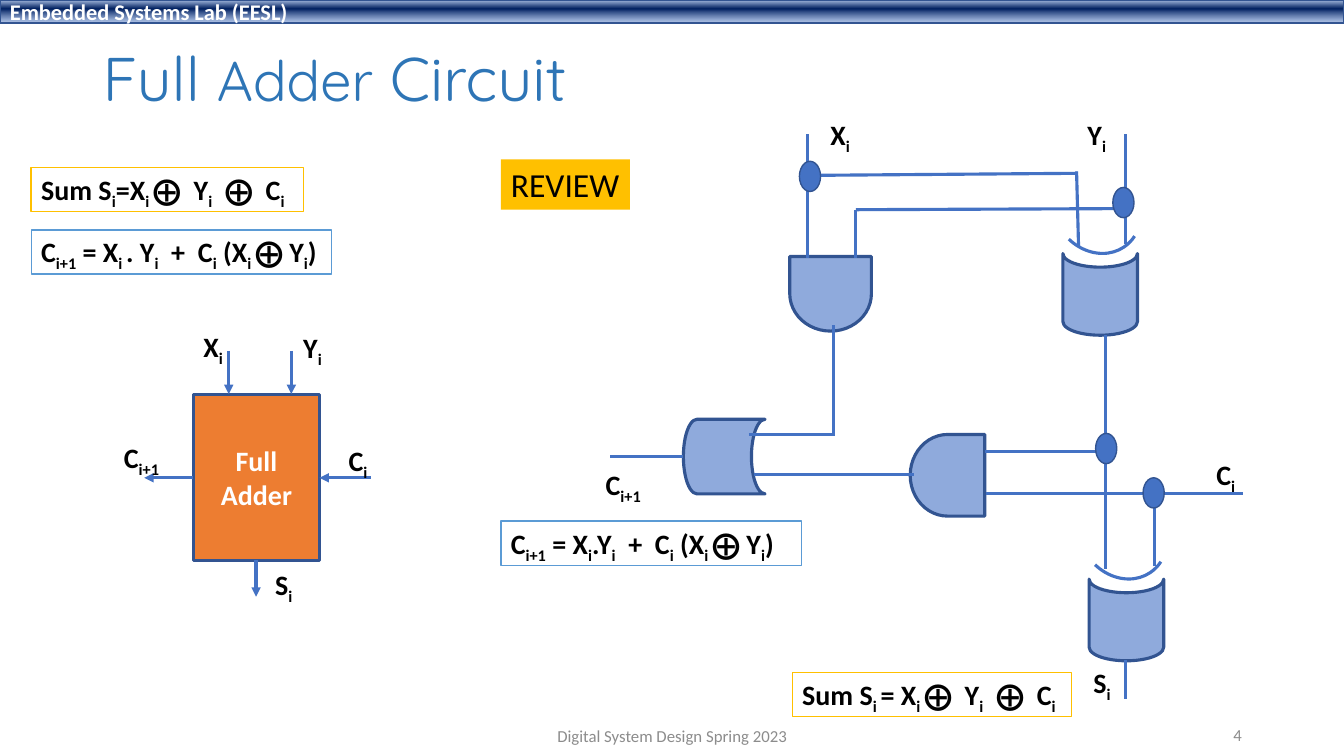
from lxml.etree import SubElement
from pptx import Presentation
from pptx.dml.color import RGBColor
from pptx.enum.shapes import MSO_CONNECTOR as Connector, MSO_SHAPE as Preset
from pptx.enum.text import MSO_ANCHOR as Anchor, MSO_AUTO_SIZE as AutoSize, PP_ALIGN as Align
from pptx.oxml.ns import qn
from pptx.util import Pt

BLACK = RGBColor(0x00, 0x00, 0x00)
WHITE = RGBColor(0xFF, 0xFF, 0xFF)
GREY = RGBColor(0x8C, 0x8C, 0x8C)
TITLE_BLUE = RGBColor(0x2E, 0x75, 0xB6)
WIRE_BLUE = RGBColor(0x44, 0x72, 0xC4)
OUTLINE_BLUE = RGBColor(0x32, 0x54, 0x91)
GATE_BLUE = RGBColor(0x8F, 0xAA, 0xDC)
BOX_BLUE = RGBColor(0x5B, 0x9B, 0xD5)
GOLD = RGBColor(0xFF, 0xC0, 0x00)
ORANGE = RGBColor(0xED, 0x7D, 0x31)
BAR_STOPS = [(2, "ABC0E4", 100), (38, "002060", 100), (93, "7E9ED6", 64)]

GATE_LENGTH, GATE_WIDTH = 58.32, 53.28
LABEL_HEIGHT = 31.7


class CircuitSlide:
    font_name = "Calibri"
    wire_width = 2.25

    def __init__(self, presentation):
        self.slide = presentation.slides.add_slide(presentation.slide_layouts[6])

    def shape(self, preset, left, top, width, height, fill=None, line=None, line_width=1, rotation=0):
        shape = self.slide.shapes.add_shape(preset, Pt(left), Pt(top), Pt(width), Pt(height))
        shape.shadow.inherit = False
        shape.rotation = rotation
        if fill is None:
            shape.fill.background()
        else:
            shape.fill.solid()
            shape.fill.fore_color.rgb = fill
        if line is None:
            shape.line.fill.background()
        else:
            shape.line.color.rgb = line
            shape.line.width = Pt(line_width)
        return shape

    def textbox(self, left, top, width, height):
        return self.slide.shapes.add_textbox(Pt(left), Pt(top), Pt(width), Pt(height))

    def run(self, paragraph, text, size, color, bold=False, font_name=None):
        run = paragraph.add_run()
        run.text = text
        run.font.name = font_name or self.font_name
        run.font.size = Pt(size)
        run.font.bold = bold
        run.font.color.rgb = color
        return run

    def caption(self, shape, text, size=20, color=BLACK, bold=True, align=Align.LEFT, anchor=Anchor.MIDDLE):
        frame = shape.text_frame
        frame.word_wrap = True
        frame.vertical_anchor = anchor
        for index, line in enumerate(text.split("\n")):
            paragraph = frame.add_paragraph() if index else frame.paragraphs[0]
            paragraph.alignment = align
            self.run(paragraph, line, size, color, bold)

    def formula(self, shape, text):
        frame = shape.text_frame
        frame.word_wrap = False
        frame.auto_size = AutoSize.SHAPE_TO_FIT_TEXT
        frame.vertical_anchor = Anchor.TOP
        paragraph = frame.paragraphs[0]
        paragraph.alignment = Align.LEFT
        for index, part in enumerate(text.split("|")):
            if part:
                run = self.run(paragraph, part, 20, BLACK, True)
                if index % 2:
                    run._r.get_or_add_rPr().set("baseline", "-25000")

    def label(self, text, left, top):
        width = 41.8 if "+" in text else 28.8
        self.formula(self.textbox(left, top, width, LABEL_HEIGHT), text)

    def equation(self, text, left, top, width, line):
        self.formula(self.shape(Preset.RECTANGLE, left, top, width, LABEL_HEIGHT, WHITE, line), text)

    def wire(self, x1, y1, x2, y2, arrow=False):
        wire = self.slide.shapes.add_connector(Connector.STRAIGHT, Pt(x1), Pt(y1), Pt(x2), Pt(y2))
        wire.line.color.rgb = WIRE_BLUE
        wire.line.width = Pt(self.wire_width)
        properties = wire._element.spPr
        if arrow:
            SubElement(properties.find(qn("a:ln")), qn("a:tailEnd"), type="triangle")
        SubElement(properties, qn("a:effectLst"))

    def and_gate(self, left, top, rotation):
        self.shape(Preset.FLOWCHART_DELAY, left, top, GATE_WIDTH, GATE_LENGTH,
                   GATE_BLUE, OUTLINE_BLUE, self.wire_width, rotation)

    def or_gate(self, left, top, rotation=0):
        self.shape(Preset.FLOWCHART_STORED_DATA, left, top, GATE_LENGTH, GATE_WIDTH,
                   GATE_BLUE, OUTLINE_BLUE, self.wire_width, rotation)

    def xor_gate(self, left, top):
        self.or_gate(left, top, 270)
        arc = self.shape(Preset.ARC, left - 4.3, top - 72.4, 61.2, 71.28,
                         None, WIRE_BLUE, self.wire_width, 146.4)
        arc.adjustments[0] = 151.27
        arc.adjustments[1] = 205.69

    def junction(self, left, top):
        self.shape(Preset.OVAL, left, top, 15.1, 21.6, WIRE_BLUE, OUTLINE_BLUE)

    def header_bar(self, text):
        bar = self.shape(Preset.RECTANGLE, 0, 0, 960, 16.56, WHITE, OUTLINE_BLUE)
        bar.fill.gradient()
        bar.fill.gradient_angle = 270
        stops = bar._element.spPr.find(qn("a:gradFill")).find(qn("a:gsLst"))
        for stop in list(stops):
            stops.remove(stop)
        for position, color, opacity in BAR_STOPS:
            stop = SubElement(stops, qn("a:gs"), pos=str(position * 1000))
            fill = SubElement(stop, qn("a:srgbClr"), val=color)
            if opacity < 100:
                SubElement(fill, qn("a:alpha"), val=str(opacity * 1000))
        self.caption(bar, text, 16, WHITE)

    def title(self, parts):
        frame = self.textbox(66.24, 28.8, 828, 58.32).text_frame
        frame.word_wrap = True
        frame.vertical_anchor = Anchor.MIDDLE
        paragraph = frame.paragraphs[0]
        paragraph.line_spacing = 0.9
        for text, size in parts:
            self.run(paragraph, text, size, TITLE_BLUE, font_name="Quicksand")


def draw_gate_circuit(page):
    page.and_gate(566.64, 180.72, 90)
    page.and_gate(650.16, 310.32, 180)
    page.or_gate(488.16, 299.52)
    page.xor_gate(756.72, 183.6)
    page.xor_gate(775.44, 416.16)
    for ends in [
        (576.7, 184.3, 576.7, 95.8), (611.3, 184.3, 611.3, 149.8),
        (770.4, 175.7, 769, 122.4), (804.2, 174.2, 804.2, 95.8),
        (789.8, 406.1, 789.8, 239), (824.4, 404.6, 824.4, 352.8),
        (703.4, 322.6, 789.8, 322.6), (704.2, 352.8, 887.8, 352.8),
        (538.6, 339.1, 653, 339.1), (535, 310.3, 596.2, 310.3),
        (595.4, 310.3, 595.4, 231.8), (611.3, 149.8, 804.2, 149),
        (576, 125.3, 769.7, 123.8), (488.2, 326.2, 435.6, 326.2),
        (804.2, 471.6, 804.2, 499),
    ]:
        page.wire(*ends)
    for corner in [(782.6, 309.6), (571, 115.2), (794.9, 133.9), (816.5, 341.3)]:
        page.junction(*corner)
    for label in [("C|i+1", 425.5, 330.5), ("X|i", 586.1, 80.6), ("Y|i", 769.7, 80.6),
                  ("C|i", 861.8, 323.3), ("S|i", 774, 471.6)]:
        page.label(*label)


def draw_adder_block(page):
    block = page.shape(Preset.RECTANGLE, 138.2, 281.5, 90, 118.8, ORANGE, OUTLINE_BLUE, 2.25)
    page.caption(block, "Full\nAdder", color=WHITE, align=Align.CENTER)
    for ends in [(163.4, 250.6, 163.4, 281.5), (208.1, 250.6, 208.1, 281.5),
                 (265, 341.3, 228.2, 341.3), (182.9, 400.3, 182.9, 426.2),
                 (138.2, 341.3, 103, 341.3)]:
        page.wire(*ends, arrow=True)
    for label in [("X|i", 138.2, 231.8), ("Y|i", 209.5, 232.6), ("C|i", 241.9, 313.2),
                  ("S|i", 189.4, 401.8), ("C|i+1", 81.4, 311)]:
        page.label(*label)


def main():
    presentation = Presentation()
    presentation.slide_width, presentation.slide_height = Pt(960), Pt(540)
    page = CircuitSlide(presentation)
    page.header_bar("Embedded Systems Lab (EESL)")
    page.title([("Full ", 44), ("Adder", 40), (" Circuit", 44)])
    draw_gate_circuit(page)
    page.equation("Sum S|i|=X|i |⨁  Y|i|  ⨁  C|i", 22.3, 119.5, 194.4, GOLD)
    page.equation("C|i+1| = X|i |. Y|i|  +  C|i| (X|i |⨁ Y|i|)", 22.3, 164.2, 214.6, BOX_BLUE)
    draw_adder_block(page)
    page.equation("Sum S|i |= X|i |⨁  Y|i|  ⨁  C|i", 565.9, 480.2, 199.4, GOLD)
    page.equation("C|i+1| = X|i|.Y|i|  +  C|i| (X|i |⨁ Y|i|)", 357.8, 372.2, 214.6, BOX_BLUE)
    page.caption(page.textbox(678.2, 510.5, 216, 28.8), "4", 12, GREY, False, Align.RIGHT)
    page.caption(page.textbox(318.2, 511.2, 324, 28.8), "Digital System Design Spring 2023",
                 12, GREY, False, Align.CENTER)
    review = page.shape(Preset.RECTANGLE, 357.8, 113.8, 92.2, 36, GOLD)
    page.caption(review, "REVIEW", 24, bold=False, anchor=Anchor.TOP)
    presentation.save("out.pptx")


if __name__ == "__main__":
    main()
